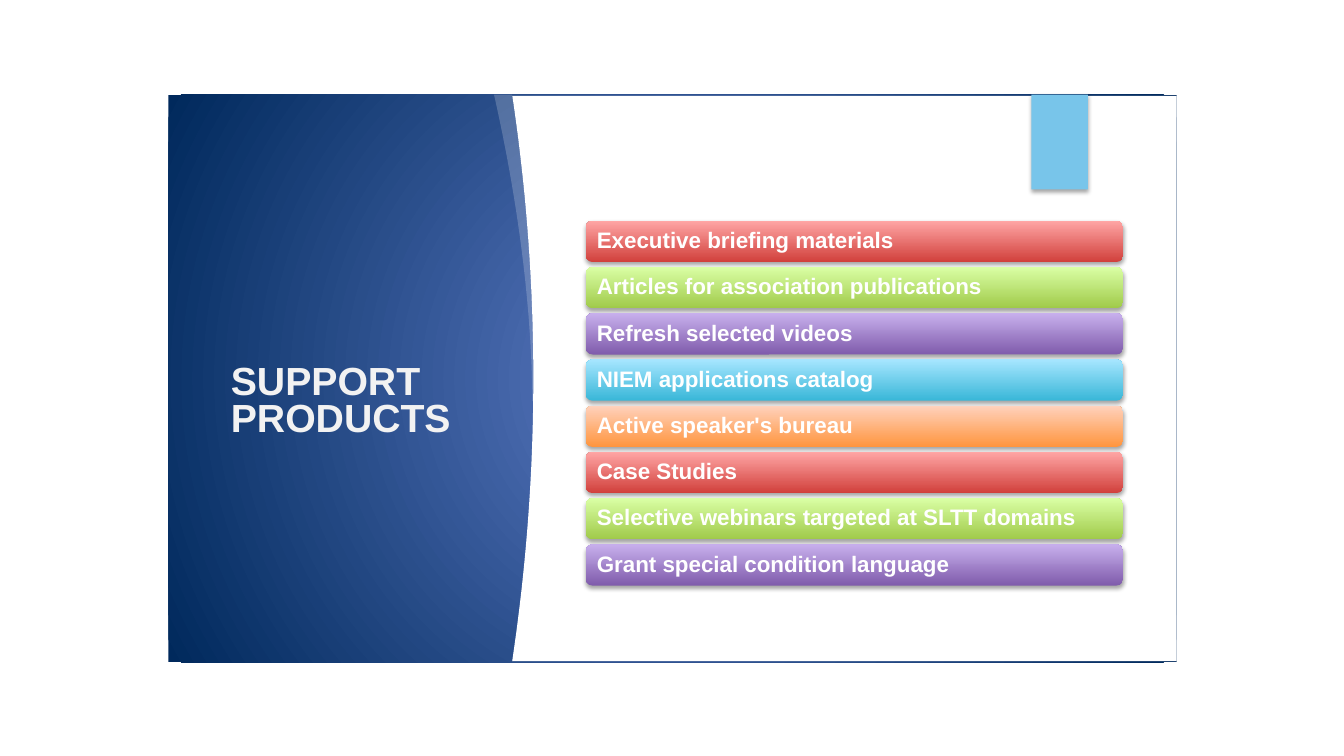
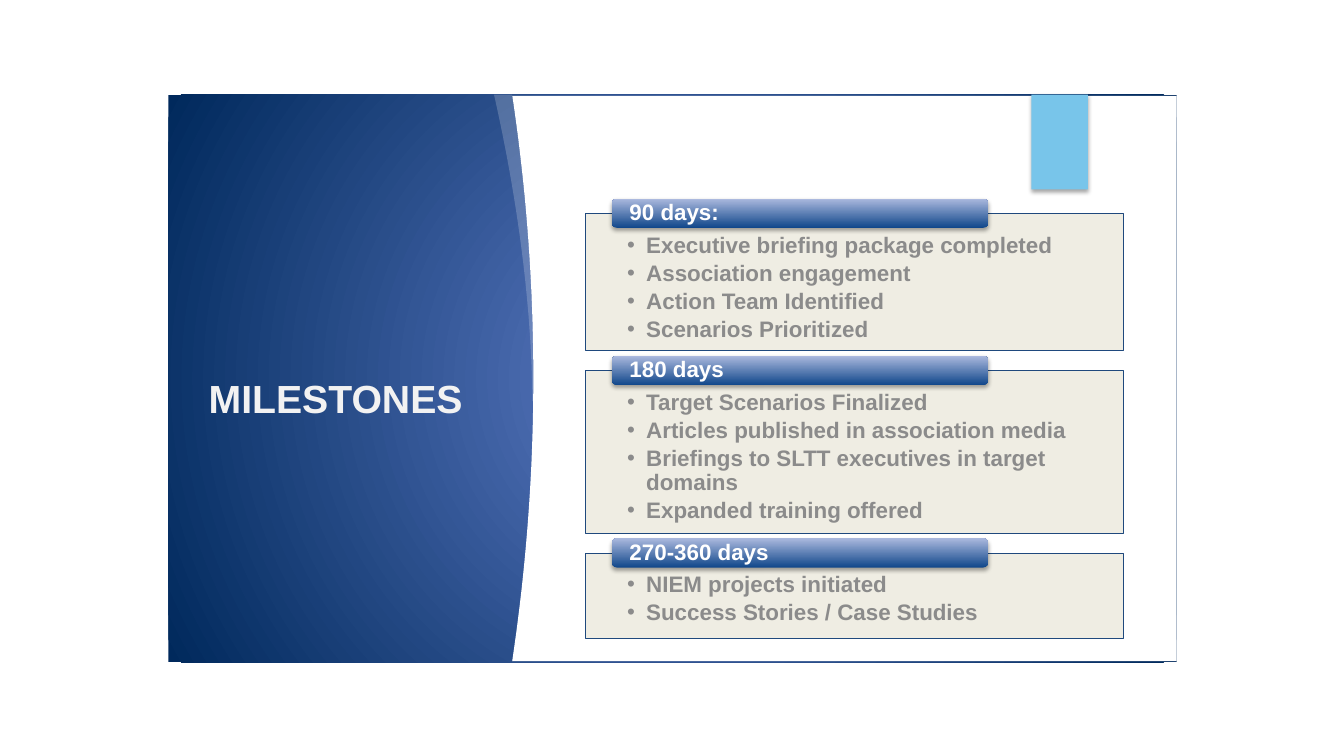
import pptx
import pptx.util
import pptx.dml.color
import pptx.enum.shapes
import pptx.enum.text
import pptx.oxml
import pptx.oxml.ns
from dataclasses import dataclass
from lxml import etree

Inches, Pt = pptx.util.Inches, pptx.util.Pt
SHAPE = pptx.enum.shapes.MSO_SHAPE
ANCHOR = pptx.enum.text.MSO_ANCHOR
qn = pptx.oxml.ns.qn

PRODUCTS = [
    "Executive briefing materials",
    "Articles for association publications",
    "Refresh selected videos",
    "NIEM applications catalog",
    "Active speaker's bureau",
    "Case Studies",
    "Selective webinars targeted at SLTT domains",
    "Grant special condition language",
]

MILESTONES = [
    ("90 days:", 1.36, [
        "Executive briefing package completed",
        "Association engagement",
        "Action Team Identified",
        "Scenarios Prioritized",
    ]),
    ("180 days", 1.61, [
        "Target Scenarios Finalized",
        "Articles published in association media",
        "Briefings to SLTT executives in target domains",
        "Expanded training offered",
    ]),
    ("270-360 days", 0.84, [
        "NIEM projects initiated",
        "Success Stories / Case Studies",
    ]),
]


@dataclass(frozen=True)
class Theme:
    font: str = "Arial"
    title_size: int = 28
    body_size: int = 16
    white: str = "FFFFFF"
    title: str = "F2F2F2"
    body: str = "8B8B8B"
    band: tuple = ("5E7CC5", "00295C")
    tab: str = "78C5EA"
    panel: str = "EEECE1"
    panel_line: str = "1F497D"
    label: tuple = ("11478B", "ABB9DE")
    shadow: str = "000000"
    bars: tuple = (
        ("D1403C", "FFA6A5"),
        ("A0CA4A", "DAFFA5"),
        ("7F5BAB", "C8B0ED"),
        ("39B7D8", "A7E6FF"),
        ("FF953E", "FFD2BD"),
    )


T = Theme()
LEFT, TOP, WIDTH, HEIGHT = 1.67, 0.94, 10, 5.63
CONTENT_LEFT, CONTENT_WIDTH = 5.81, 5.33


def rgb(value):
    return pptx.dml.color.RGBColor.from_string(value)


def paint(sp, fill, alpha=None, line=None, shadow=False):
    sp.shadow.inherit = False
    if isinstance(fill, tuple):
        sp.fill.gradient()
        sp.fill.gradient_angle = 90
        for stop, color in zip(sp.fill.gradient_stops, fill):
            stop.color.rgb = rgb(color)
    else:
        sp.fill.solid()
        sp.fill.fore_color.rgb = rgb(fill)
    if alpha is not None:
        color = sp._element.spPr.find(qn("a:solidFill"))[0]
        etree.SubElement(color, qn("a:alpha"), val=str(alpha * 1000))
    if line:
        sp.line.color.rgb = rgb(line)
        sp.line.width = Pt(0.75)
    else:
        sp.line.fill.background()
    if shadow:
        effects = sp._element.spPr.find(qn("a:effectLst"))
        outer = etree.SubElement(
            effects, qn("a:outerShdw"), blurRad=str(Pt(3.1)),
            dist=str(Pt(1.8)), dir="5400000", rotWithShape="0")
        color = etree.SubElement(outer, qn("a:srgbClr"), val=T.shadow)
        etree.SubElement(color, qn("a:alpha"), val="35000")


def add_box(s, kind, x, y, w, h, fill, **look):
    sp = s.shapes.add_shape(kind, Inches(x), Inches(y), Inches(w), Inches(h))
    paint(sp, fill, **look)
    return sp


def add_outline(s, points, fill, **look):
    points = [(Inches(x), Inches(y)) for x, y in points]
    builder = s.shapes.build_freeform(*points[0], scale=1)
    builder.add_line_segments(points[1:], close=True)
    paint(builder.convert_to_shape(), fill, **look)


def write(sp, lines, size=T.body_size, color=T.white, insets=(0.1, 0.05, 0.1, 0.05),
          anchor=ANCHOR.MIDDLE, spacing=0.9, after=0, bullet=None):
    tf = sp.text_frame
    tf.word_wrap = True
    tf.auto_size = pptx.enum.text.MSO_AUTO_SIZE.NONE
    tf.vertical_anchor = anchor
    tf.margin_left, tf.margin_top, tf.margin_right, tf.margin_bottom = map(Inches, insets)
    for i, line in enumerate(lines):
        p = tf.add_paragraph() if i else tf.paragraphs[0]
        p.alignment = pptx.enum.text.PP_ALIGN.LEFT
        p.line_spacing = spacing
        p.space_before = Pt(0)
        p.space_after = Pt(after)
        if bullet:
            pPr = p._p.get_or_add_pPr()
            pPr.set("marL", str(Inches(0.19)))
            pPr.set("indent", str(-Inches(0.19)))
            etree.SubElement(pPr, qn("a:buFont"), typeface=T.font)
            etree.SubElement(pPr, qn("a:buChar"), char=bullet)
        r = p.add_run()
        r.text = line
        r.font.name = T.font
        r.font.size = Pt(size)
        r.font.bold = True
        r.font.color.rgb = rgb(color)


def steps(start, end, n=40):
    return [start + (end - start) * i / n for i in range(n + 1)]


def band_edge(y):
    return 5.29 - 0.21 * ((y - 3.75) / 2.81) ** 2


def sheen_edge(y):
    return 5.28 - 0.38 * ((3.98 - y) / 3.04) ** 1.8


def add_base(prs, title, x, w):
    s = prs.slides.add_slide(prs.slide_layouts[5])
    band = add_box(s, SHAPE.RECTANGLE, LEFT, TOP, WIDTH, HEIGHT, T.band)
    grad = band._element.spPr.find(qn("a:gradFill"))
    grad.remove(grad.find(qn("a:lin")))
    radial = etree.SubElement(grad, qn("a:path"), path="circle")
    etree.SubElement(radial, qn("a:fillToRect"), l="50000", t="50000", r="50000", b="50000")

    heading = s.shapes.title
    heading.left, heading.top, heading.width, heading.height = map(Inches, (x, 2.12, w, 3.75))
    write(heading, [title], size=T.title_size, color=T.title, spacing=0.8)
    band._element.addnext(heading._element)

    right, top, bottom = LEFT + WIDTH, TOP + 0.01, 6.56
    curve = [(band_edge(y), y) for y in steps(bottom, top)]
    add_outline(s, [(right, top), (right, bottom)] + curve, T.white)
    sheen = [(sheen_edge(y), y) for y in steps(TOP, 3.98)]
    sheen += [(band_edge(y), y) for y in steps(3.98, TOP)]
    add_outline(s, sheen, T.white, alpha=20)
    add_box(s, SHAPE.RECTANGLE, 10.23, TOP, 0.56, 0.94, T.tab, shadow=True)
    return s


def add_products(prs):
    s = add_base(prs, "SUPPORT PRODUCTS", 2.19, 2.55)
    top, bottom, height = 2.19, 5.81, 0.41
    pitch = (bottom - top - height) / (len(PRODUCTS) - 1)
    for i, product in enumerate(PRODUCTS):
        bar = add_box(s, SHAPE.ROUNDED_RECTANGLE, CONTENT_LEFT, top + i * pitch,
                      CONTENT_WIDTH, height, T.bars[i % len(T.bars)], shadow=True)
        write(bar, [product], insets=(0.09, 0.05, 0.09, 0.05))


def add_milestones(prs):
    s = add_base(prs, "MILESTONES", 1.97, 2.94)
    top, gap = 2.12, 0.2
    for period, height, goals in MILESTONES:
        panel = add_box(s, SHAPE.RECTANGLE, CONTENT_LEFT, top, CONTENT_WIDTH, height,
                        T.panel, alpha=90, line=T.panel_line)
        write(panel, goals, color=T.body, insets=(0.41, 0.2, 0.41, 0.12),
              anchor=ANCHOR.TOP, after=2.8, bullet="•")
        label = add_box(s, SHAPE.ROUNDED_RECTANGLE, 6.07, top - 0.15, 3.73, 0.29,
                        T.label, shadow=True)
        write(label, [period], insets=(0.16, 0, 0.16, 0))
        top += height + gap


def main():
    prs = pptx.Presentation()
    prs.slide_width, prs.slide_height = Inches(13.33), Inches(7.5)
    add_products(prs)
    add_milestones(prs)
    prs.save("out.pptx")


if __name__ == "__main__":
    main()
